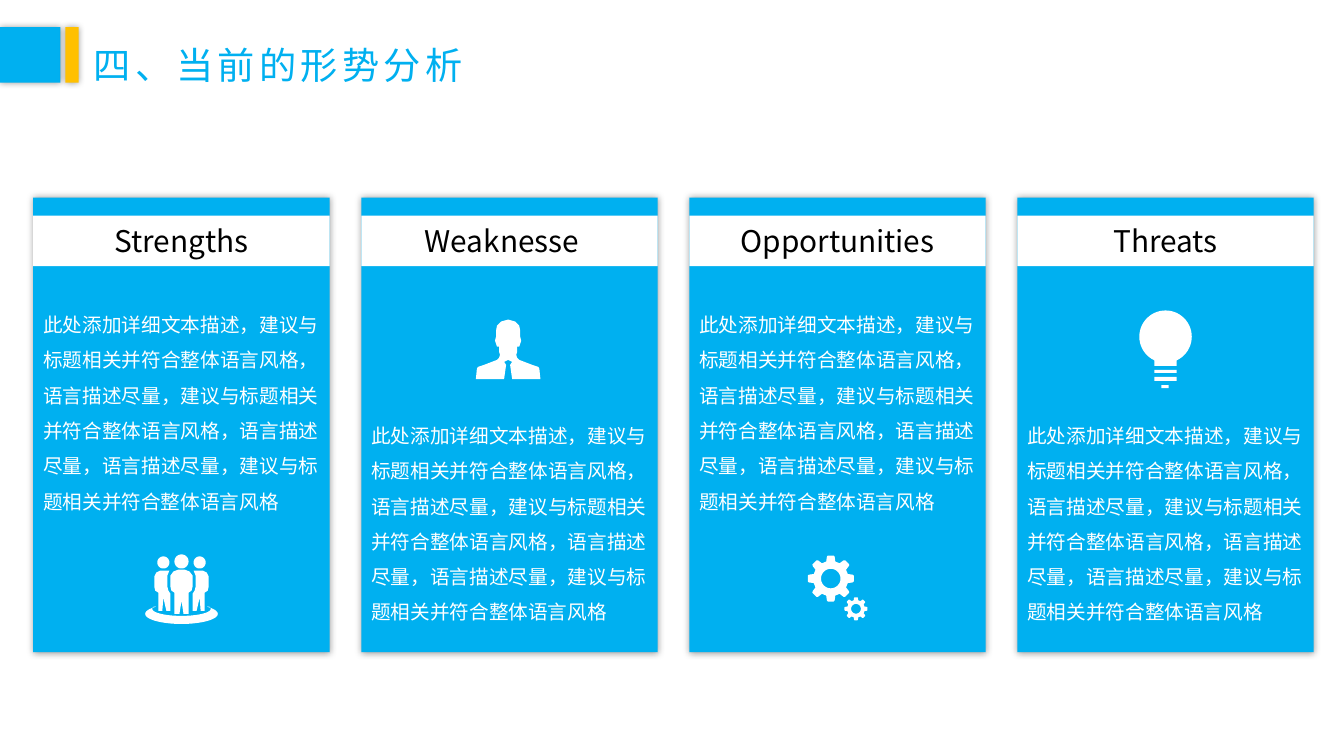
import math

from pptx import Presentation
from pptx import util as u
from pptx.dml.color import RGBColor
from pptx.enum import shapes, text
from pptx.oxml import parse_xml
from pptx.oxml.ns import nsdecls

FONT = "Noto Sans CJK SC"
BLUE, AMBER, WHITE, BLACK = "00B0F0", "FFC000", "FFFFFF", "000000"
BODY = ("此处添加详细文本描述，建议与标题相关并符合整体语言风格，语言描述尽量，"
        "建议与标题相关并符合整体语言风格，语言描述尽量，语言描述尽量，"
        "建议与标题相关并符合整体语言风格")
SHADOW = (f'<a:outerShdw {nsdecls("a")} blurRad="63500" dist="0" algn="ctr" rotWithShape="0">'
          '<a:srgbClr val="000000"><a:alpha val="40000"/></a:srgbClr></a:outerShdw>')

prs = Presentation()
prs.slide_width, prs.slide_height = u.Inches(13.33), u.Inches(7.5)
s = prs.slides.add_slide(prs.slide_layouts[6])


def paint(sp, color, shadow=False):
    sp.fill.solid()
    sp.fill.fore_color.rgb = RGBColor.from_string(color)
    sp.line.fill.background()
    sp.shadow.inherit = False
    if shadow:
        sp._element.spPr.effectLst.append(parse_xml(SHADOW))
    return sp


def write(sp, words, size, color, align, spacing=1.0, tracking=0):
    """Put one styled paragraph into a shape; tracking is in points."""
    p = sp.text_frame.paragraphs[0]
    p.text, p.alignment, p.line_spacing = words, align, spacing
    p.font.size, p.font.name = u.Pt(size), FONT
    p.font.color.rgb = RGBColor.from_string(color)
    props = p._p.pPr.defRPr
    props.append(parse_xml(f'<a:ea {nsdecls("a")} typeface="{FONT}"/>'))
    if tracking:
        props.set("spc", str(tracking * 100))


# Heading
title = s.shapes.add_textbox(*map(u.Inches, (0.83, 0.15, 3.93, 0.77)))
title.text_frame.word_wrap = False
title.text_frame.auto_size = text.MSO_AUTO_SIZE.SHAPE_TO_FIT_TEXT
title.text_frame.vertical_anchor = text.MSO_ANCHOR.MIDDLE
write(title, "四、当前的形势分析", 26.6, BLUE, text.PP_ALIGN.LEFT, 1.5, 3)
for left, width, color in ((0, 0.6, BLUE), (0.65, 0.13, AMBER)):
    bar = s.shapes.add_shape(shapes.MSO_SHAPE.RECTANGLE,
                             *map(u.Inches, (left, 0.27, width, 0.55)))
    paint(bar, color, shadow=True)

# Cards: label, top of the description, right inset of the label
cards = [("Strengths", 2.94, 0.13), ("Weaknesse", 4.04, 0.28),
         ("Opportunities", 2.94, 0.13), ("Threats", 4.04, 0.13)]
for i, (label, body_top, inset) in enumerate(cards):
    left = 0.33 + i * 9.76 / 3
    card = s.shapes.add_shape(shapes.MSO_SHAPE.RECTANGLE,
                              *map(u.Inches, (left, 1.96, 2.94, 4.51)))
    paint(card, BLUE, shadow=True)

    band = s.shapes.add_shape(shapes.MSO_SHAPE.RECTANGLE,
                              *map(u.Inches, (left, 2.14, 2.94, 0.5)))
    paint(band, WHITE)
    tf = band.text_frame
    tf.margin_left, tf.margin_right = u.Inches(0.13), u.Inches(inset)
    tf.margin_top = tf.margin_bottom = u.Inches(0.07)
    tf.vertical_anchor = text.MSO_ANCHOR.MIDDLE
    write(band, label, 21.3, BLACK, text.PP_ALIGN.CENTER)

    body = s.shapes.add_textbox(*map(u.Inches, (left, body_top, 2.93, 2.18)))
    body.text_frame.word_wrap = True
    body.text_frame.auto_size = text.MSO_AUTO_SIZE.SHAPE_TO_FIT_TEXT
    write(body, BODY, 14, WHITE, text.PP_ALIGN.JUSTIFY, 1.5)

# Icons: each outline is a list of contours, each contour a list of points
arc = lambda cx, cy, rx, ry, start, end: [
    (cx + rx * math.cos(math.radians(start + (end - start) * k / 48)),
     cy + ry * math.sin(math.radians(start + (end - start) * k / 48)))
    for k in range(49)]
mirror = lambda points, axis: [(2 * axis - x, y) for x, y in reversed(points)]

base = arc(1.8, 6.09, 0.36, 0.1, -45, 225) + arc(1.8, 6.04, 0.29, 0.07, 197, -17)
side_person = [
    (1.91, 5.89), (1.91, 6.06), (1.95, 6.06), (1.98, 5.93), (1.99, 6.06), (2.03, 6.06),
    (2.03, 5.88), (2.06, 5.86), (2.07, 5.82), (2.07, 5.72), (2.05, 5.68), (2.01, 5.66),
    (1.92, 5.66), (1.94, 5.71), (1.94, 5.82), (1.93, 5.86)]
middle_half = [
    (1.8, 5.65), (1.83, 5.65), (1.88, 5.67), (1.91, 5.71), (1.91, 5.82), (1.9, 5.86),
    (1.87, 5.88), (1.87, 6.09), (1.82, 6.09), (1.8, 5.96)]
team = [base, side_person, mirror(side_person, 1.8),
        middle_half + mirror(middle_half, 1.8),
        arc(1.8, 5.57, 0.07, 0.07, 0, 360),
        arc(1.62, 5.58, 0.06, 0.06, 0, 360), arc(1.98, 5.58, 0.06, 0.06, 0, 360)]

bust_half = [
    (5.04, 3.17), (4.97, 3.19), (4.93, 3.23), (4.92, 3.28), (4.92, 3.34), (4.91, 3.38),
    (4.93, 3.44), (4.95, 3.44), (4.95, 3.49), (4.96, 3.52), (4.95, 3.55), (4.93, 3.57),
    (4.8, 3.62), (4.74, 3.64), (4.73, 3.66), (4.72, 3.76), (5, 3.76), (5.02, 3.62),
    (5, 3.59), (5.04, 3.57)]
bust = [bust_half + mirror(bust_half, 5.04)]

gears = []
for cx, cy, radius in ((8.24, 5.74, 0.23), (8.49, 6.04, 0.115)):
    rim = []
    for tooth in range(0, 360, 45):
        for turn, reach in ((-15, 0.76), (-10, 0.96), (-7, 1), (7, 1), (10, 0.96), (15, 0.76)):
            angle = math.radians(tooth + turn)
            rim.append((cx + radius * reach * math.cos(angle),
                        cy + radius * reach * math.sin(angle)))
    hole = arc(cx, cy, radius * 0.42, radius * 0.42, 0, 360)
    gears.append([rim, hole])

bulb = [arc(11.56, 3.34, 0.26, 0.26, 115, 425) + [(11.67, 3.63), (11.45, 3.63)]]

gear_group, bulb_group = s.shapes.add_group_shape(), s.shapes.add_group_shape()
for parent, contours in ((s, team), (s, bust), (gear_group, gears[0]),
                         (gear_group, gears[1]), (bulb_group, bulb)):
    builder = None
    for contour in contours:
        points = [(u.Inches(x), u.Inches(y)) for x, y in contour]
        if builder is None:
            builder = parent.shapes.build_freeform(*points[0])
        else:
            builder.move_to(*points[0])
        builder.add_line_segments(points[1:], close=True)
    paint(builder.convert_to_shape(), WHITE)

for left, top, width, height in ((11.45, 3.67, 0.22, 0.03), (11.45, 3.74, 0.22, 0.04),
                                 (11.52, 3.82, 0.07, 0.03)):
    ring = bulb_group.shapes.add_shape(shapes.MSO_SHAPE.RECTANGLE,
                                       *map(u.Inches, (left, top, width, height)))
    paint(ring, WHITE)

prs.save("out.pptx")
